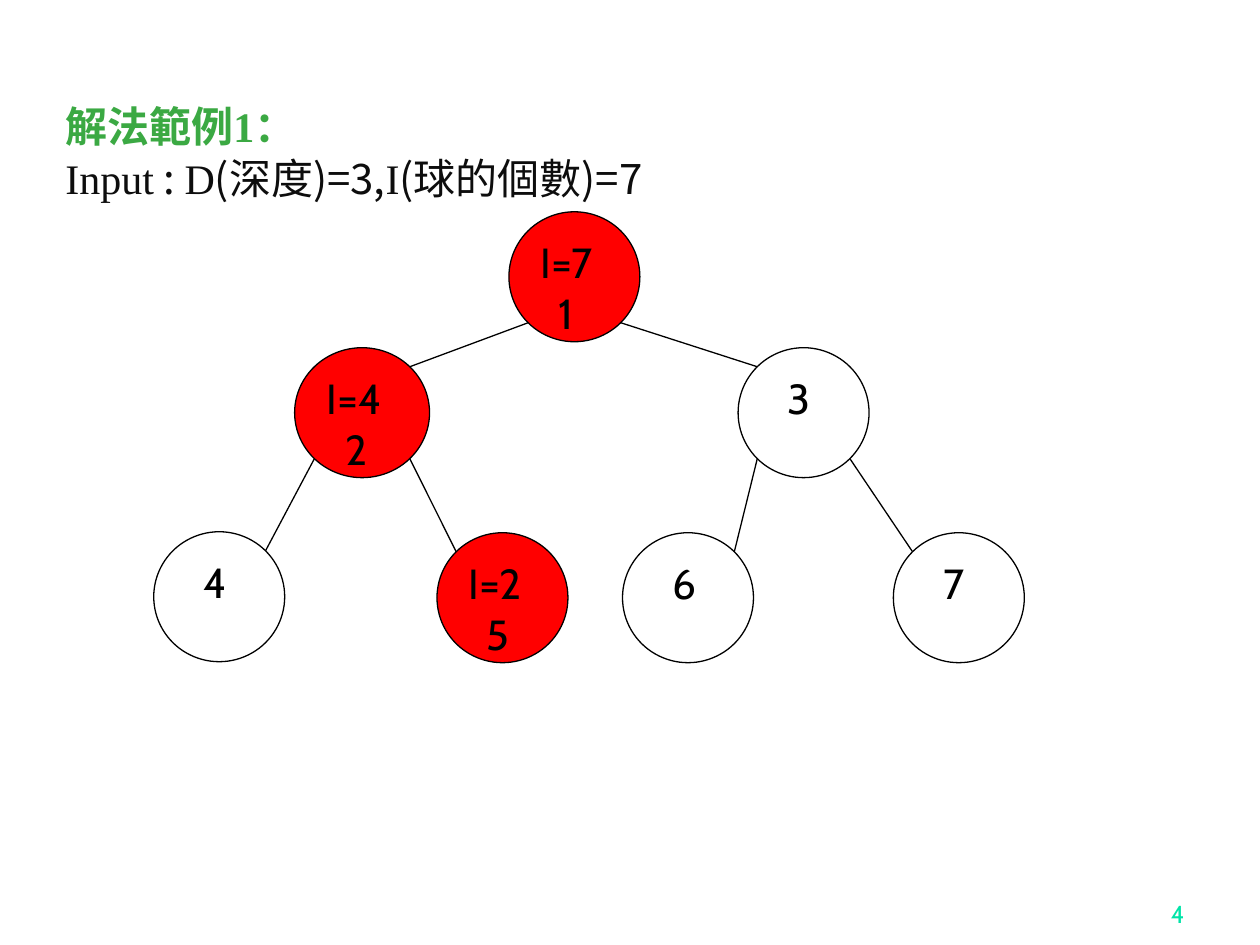
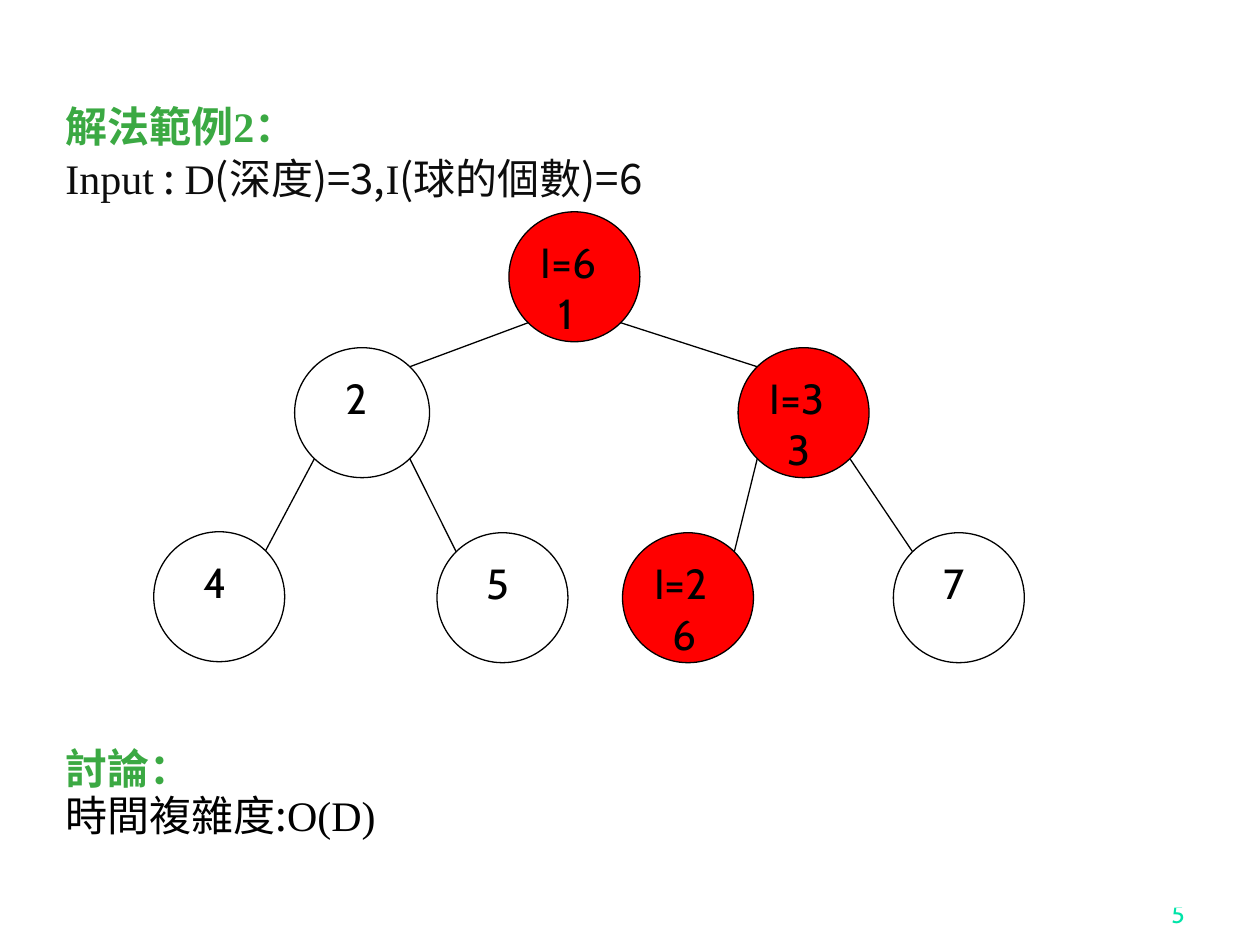
import dataclasses
import math
import typing

import pptx
import pptx.dml.color
import pptx.enum.shapes
import pptx.enum.text
import pptx.oxml
import pptx.oxml.ns
import pptx.util

Cm = pptx.util.Cm
Pt = pptx.util.Pt


@dataclasses.dataclass(frozen=True)
class Theme:
    heading: str = "3BA943"
    input: str = "0D0D0D"
    black: str = "000000"
    white: str = "FFFFFF"
    visited: str = "FF0000"
    number: str = "00E4A8"
    serif: str = "Times New Roman"
    cjk: str = "Noto Sans CJK SC"
    label: str = "Cabin"
    text_pt: float = 24
    number_pt: float = 14
    line_pt: float = 0.75


THEME = Theme()


class Box(typing.NamedTuple):
    """A rectangle in centimetres."""
    left: float
    top: float
    width: float
    height: float

    def emu(self) -> list[int]:
        return [Cm(v) for v in self]

    def corner(self, right: bool, bottom: bool) -> tuple[float, float]:
        """Point of the inscribed ellipse on one of its diagonals."""
        x = self.width / 2 * (1 + math.sqrt(0.5) * (1 if right else -1))
        y = self.height / 2 * (1 + math.sqrt(0.5) * (1 if bottom else -1))
        return self.left + x, self.top + y


@dataclasses.dataclass(frozen=True)
class Example:
    page: int
    number: int
    balls: int
    discussion: bool = False


DEPTH = 3
BODY = Box(1.07, 1.9, 23.06, 16.4)
PAGE_NUMBER = Box(18.85, 17.58, 5.28, 1.27)
NODES = {
    1: Box(10.26, 4.27, 2.64, 2.62),
    2: Box(5.94, 7.01, 2.72, 2.62),
    3: Box(14.88, 7.01, 2.64, 2.62),
    4: Box(3.1, 10.72, 2.64, 2.62),
    5: Box(8.81, 10.74, 2.64, 2.62),
    6: Box(12.55, 10.74, 2.64, 2.62),
    7: Box(18.01, 10.74, 2.64, 2.62),
}
EXAMPLES = [Example(4, 1, 7), Example(5, 2, 6, discussion=True)]


def rgb(color: str) -> pptx.dml.color.RGBColor:
    return pptx.dml.color.RGBColor.from_string(color)


def add_run(p, text: str, font: str, color: str,
            size: float = THEME.text_pt, bold: bool = False) -> None:
    r = p.add_run()
    r.text = text
    r.font.name = font
    r.font.size = Pt(size)
    r.font.bold = bold
    r.font.color.rgb = rgb(color)
    ea = pptx.oxml.parse_xml(
        f'<a:ea {pptx.oxml.ns.nsdecls("a")} typeface="{THEME.cjk}"/>')
    r.font._element.find(pptx.oxml.ns.qn("a:latin")).addnext(ea)


def add_page_number(s, page: int) -> None:
    tf = s.shapes.add_textbox(*PAGE_NUMBER.emu()).text_frame
    tf.word_wrap = True
    tf.vertical_anchor = pptx.enum.text.MSO_ANCHOR.BOTTOM
    p = tf.paragraphs[0]
    p.alignment = pptx.enum.text.PP_ALIGN.RIGHT
    add_run(p, str(page), THEME.label, THEME.number, THEME.number_pt)


def add_body(s, example: Example) -> None:
    sp = s.shapes.add_textbox(*BODY.emu())
    tf = sp.text_frame
    tf.word_wrap = True
    tf.margin_top = Cm(0.08)

    p = tf.paragraphs[0]
    p.line_spacing = Pt(30)
    add_run(p, f"解法範例{example.number}：", THEME.serif, THEME.heading, bold=True)

    p = tf.add_paragraph()
    p.line_spacing = Pt(30)
    for text, font in [("Input", THEME.serif), (" : ", THEME.cjk),
                       ("D", THEME.serif), (f"(深度)={DEPTH},", THEME.cjk),
                       ("I", THEME.serif),
                       (f"(球的個數)={example.balls}", THEME.cjk)]:
        add_run(p, text, font, THEME.input)

    if example.discussion:
        sp.fill.solid()
        sp.fill.fore_color.rgb = rgb(THEME.white)
        p = tf.add_paragraph()
        p.line_spacing = Pt(27)
        p.space_before = Pt(310)
        add_run(p, "討論：", THEME.serif, THEME.heading, bold=True)
        p.add_line_break()
        add_run(p, "時間複雜度:", THEME.cjk, THEME.black)
        add_run(p, "O(D)", THEME.serif, THEME.black)


def ball_route(balls: int) -> dict[int, int]:
    """Balls reaching each node on the last ball's way: odd goes left, even right."""
    node, route = 1, {}
    for _ in range(DEPTH):
        route[node] = balls
        node = 2 * node + (balls + 1) % 2
        balls = (balls + 1) // 2
    return route


def add_node(s, node: int, balls: typing.Optional[int]) -> None:
    sp = s.shapes.add_shape(pptx.enum.shapes.MSO_SHAPE.OVAL, *NODES[node].emu())
    sp.shadow.inherit = False
    sp.fill.solid()
    sp.fill.fore_color.rgb = rgb(THEME.white if balls is None else THEME.visited)
    sp.line.color.rgb = rgb(THEME.black)
    sp.line.width = Pt(THEME.line_pt)
    tf = sp.text_frame
    tf.word_wrap = True
    tf.vertical_anchor = pptx.enum.text.MSO_ANCHOR.TOP
    p = tf.paragraphs[0]
    if balls is not None:
        p.alignment = pptx.enum.text.PP_ALIGN.LEFT
        add_run(p, f"I={balls}", THEME.label, THEME.black)
        p = tf.add_paragraph()
    p.alignment = pptx.enum.text.PP_ALIGN.LEFT
    p._p.get_or_add_pPr().set("marL", str(Cm(0.37)))
    add_run(p, str(node), THEME.label, THEME.black)


def add_edge(s, child: int) -> None:
    is_right = child % 2 == 1
    start = NODES[child // 2].corner(right=is_right, bottom=True)
    end = NODES[child].corner(right=not is_right, bottom=False)
    line = s.shapes.add_connector(pptx.enum.shapes.MSO_CONNECTOR.STRAIGHT,
                                  *[Cm(v) for v in start + end])
    line.line.color.rgb = rgb(THEME.black)
    line.line.width = Pt(THEME.line_pt)
    line._element.spPr.append(
        pptx.oxml.parse_xml(f'<a:effectLst {pptx.oxml.ns.nsdecls("a")}/>'))


def add_example(prs, example: Example) -> None:
    s = prs.slides.add_slide(prs.slide_layouts[6])
    s.background.fill.solid()
    s.background.fill.fore_color.rgb = rgb(THEME.white)
    add_page_number(s, example.page)
    add_body(s, example)
    route = ball_route(example.balls)
    for node in NODES:
        add_node(s, node, route.get(node))
    for child in range(2, len(NODES) + 1):
        add_edge(s, child)


def main() -> None:
    prs = pptx.Presentation()
    prs.slide_width, prs.slide_height = Cm(25.4), Cm(19.05)
    for example in EXAMPLES:
        add_example(prs, example)
    prs.save("out.pptx")


if __name__ == "__main__":
    main()
